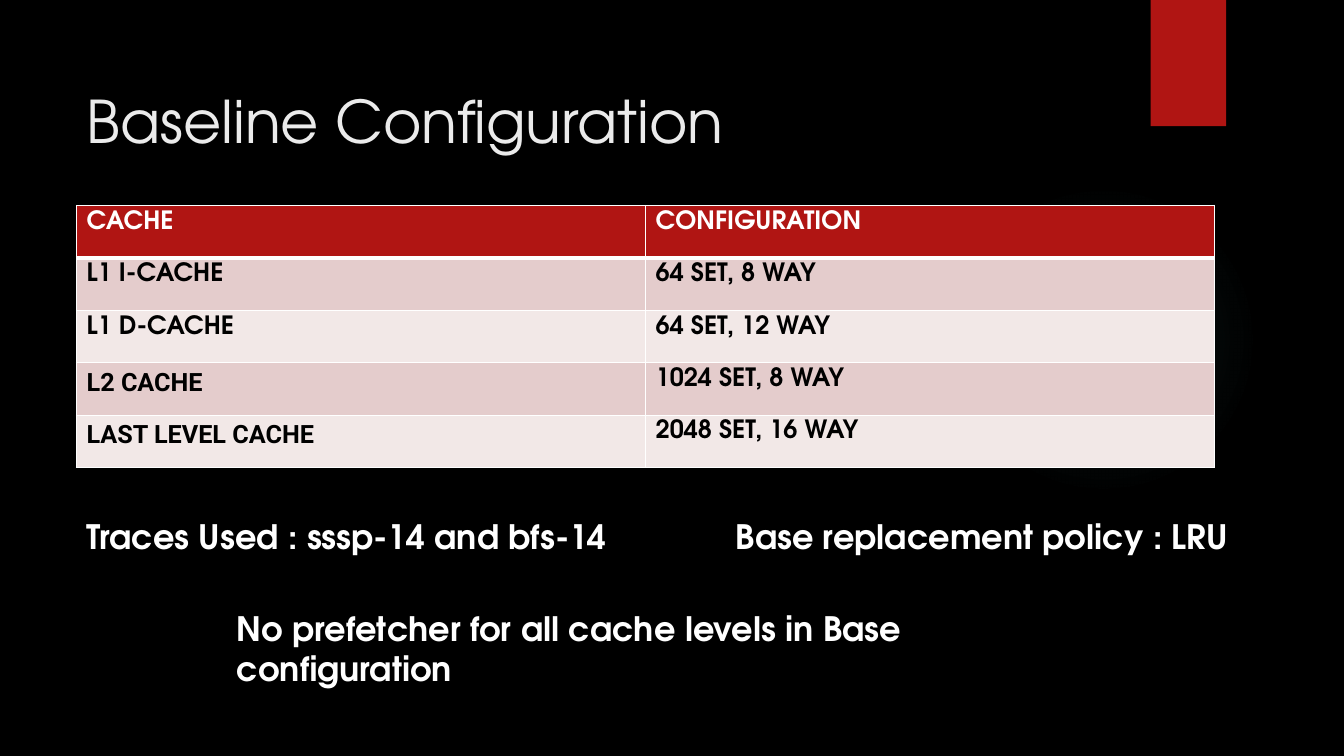
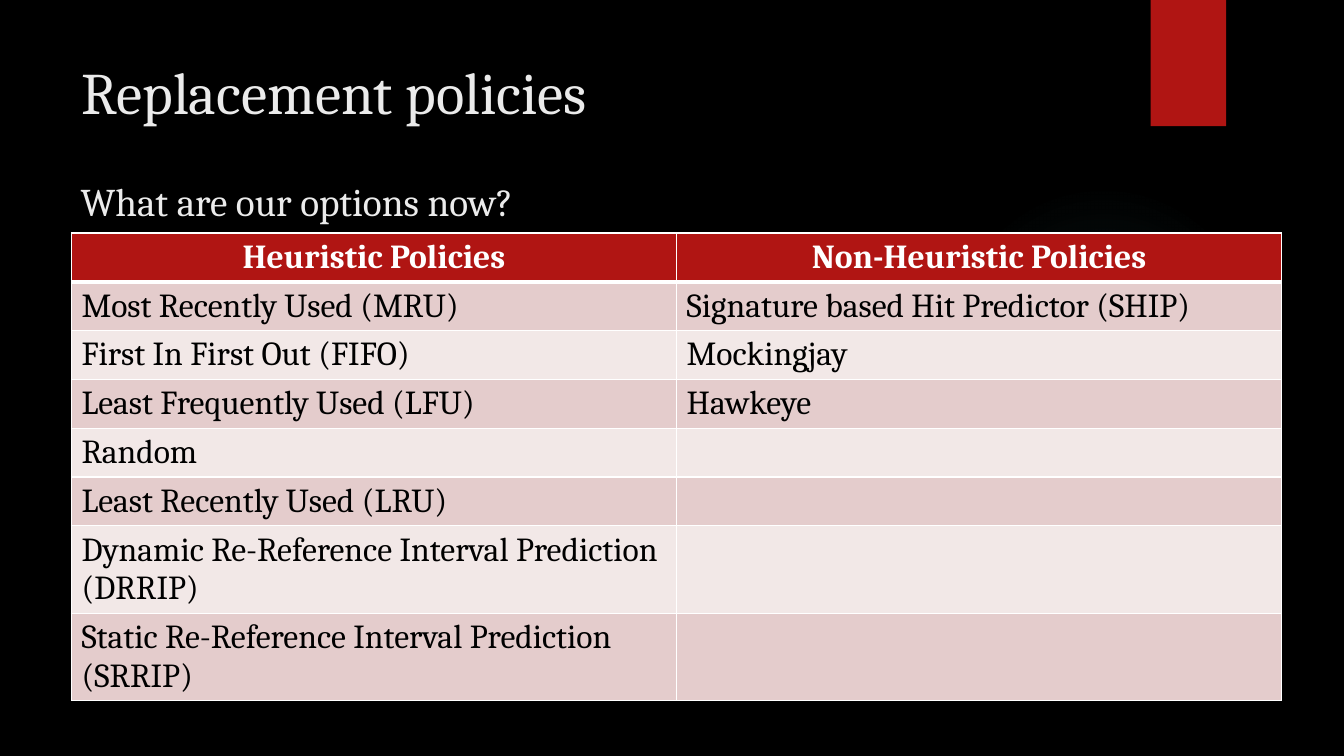
from dataclasses import dataclass

from pptx import Presentation
from pptx.dml.color import RGBColor
from pptx.enum.shapes import MSO_SHAPE
from pptx.enum.text import MSO_ANCHOR, MSO_AUTO_SIZE, PP_ALIGN
from pptx.oxml import parse_xml
from pptx.oxml.ns import nsdecls, qn
from pptx.util import Cm, Pt


@dataclass(frozen=True)
class Theme:
    background: str = "000000"
    accent: str = "B01513"
    glow: str = "50B9C1"
    heading: str = "EBEBEB"
    light: str = "FFFFFF"
    dark: str = "000000"
    bands: tuple = ("E4CCCC", "F2E8E7")
    geometric: str = "TeX Gyre Adventor"
    serif: str = "Cambria"
    plain: str = "Roboto"
    title_size: int = 42
    subtitle_size: int = 28
    body_size: int = 24
    small_size: int = 18
    border: int = 1
    header_border: int = 3
    cell_top: float = 0.13
    cell_bottom: float = 0.03


THEME = Theme()
BORDER_TAGS = ("lnL", "lnR", "lnT", "lnB")


def set_values(target, values):
    for name, value in values.items():
        setattr(target, name, value)


def place(item, left, top, width, height):
    lengths = dict(left=left, top=top, width=width, height=height)
    set_values(item, {name: Cm(length) for name, length in lengths.items()})


def write(frame, text, font, size, color, bold=False, align=PP_ALIGN.LEFT):
    para = frame.paragraphs[0]
    para.alignment = align
    span = para.add_run()
    span.text = text
    set_values(span.font, {"name": font, "size": Pt(size), "bold": bold})
    span.font.color.rgb = RGBColor.from_string(color)


def add_title(page, text, area, font):
    title = page.shapes.title
    place(title, *area)
    set_values(title.text_frame, {
        "vertical_anchor": MSO_ANCHOR.TOP,
        "auto_size": MSO_AUTO_SIZE.NONE,
        "word_wrap": True,
    })
    write(title.text_frame, text, font, THEME.title_size, THEME.heading)


def add_text(page, text, area, font, size, color, bold=False):
    box = page.shapes.add_textbox(*map(Cm, area))
    box.text_frame.word_wrap = True
    write(box.text_frame, text, font, size, color, bold)


def set_borders(cell, widths):
    properties = cell._tc.get_or_add_tcPr()
    for tag, width in zip(BORDER_TAGS, widths):
        properties.append(parse_xml(
            f'<a:{tag} {nsdecls("a")} w="{Pt(width)}"><a:solidFill>'
            f'<a:srgbClr val="{THEME.light}"/></a:solidFill></a:{tag}>'))


def add_grid(page, left, top, width, heights, rows, font, size,
             bold=False, header_align=PP_ALIGN.LEFT, cell_fonts=None):
    cell_fonts = cell_fonts or {}
    columns = len(rows[0])
    area = map(Cm, (left, top, width, sum(heights)))
    table = page.shapes.add_table(len(rows), columns, *area).table
    table.horz_banding = False
    for column in table.columns:
        column.width = Cm(width / columns)
    for row, (texts, height) in enumerate(zip(rows, heights)):
        table.rows[row].height = Cm(height)
        header = row == 0
        fill = THEME.accent if header else THEME.bands[(row - 1) % 2]
        above = THEME.header_border if row == 1 else THEME.border
        below = THEME.header_border if header else THEME.border
        for column, text in enumerate(texts):
            cell = table.cell(row, column)
            set_values(cell, {"margin_top": Cm(THEME.cell_top),
                              "margin_bottom": Cm(THEME.cell_bottom)})
            set_borders(cell, (THEME.border, THEME.border, above, below))
            cell.fill.solid()
            cell.fill.fore_color.rgb = RGBColor.from_string(fill)
            if text:
                write(cell.text_frame, text, cell_fonts.get(text, font), size,
                      THEME.light if header else THEME.dark,
                      bold or header,
                      header_align if header else PP_ALIGN.LEFT)


def add_plain_shape(page, kind, area):
    shape = page.shapes.add_shape(kind, *map(Cm, area))
    shape.shadow.inherit = False
    shape.line.fill.background()
    return shape


def fill_with_glow(shape):
    stops = "".join(
        f'<a:gs pos="{position}000"><a:srgbClr val="{THEME.glow}">'
        f'<a:alpha val="{alpha}000"/></a:srgbClr></a:gs>'
        for position, alpha in ((0, 7), (36, 6), (69, 0)))
    gradient = parse_xml(
        f'<a:gradFill {nsdecls("a")}><a:gsLst>{stops}</a:gsLst>'
        '<a:path path="circle"><a:fillToRect l="50000" t="50000" '
        'r="50000" b="50000"/></a:path></a:gradFill>')
    shape.fill.background()
    properties = shape.element.spPr
    properties.replace(properties.find(qn("a:noFill")), gradient)


def decorate_layout(deck, layout, page):
    background = deck.slide_master.background.fill
    background.solid()
    background.fore_color.rgb = RGBColor.from_string(THEME.background)
    glow = add_plain_shape(page, MSO_SHAPE.OVAL, (23.9, 4.65, 7.82, 7.82))
    fill_with_glow(glow)
    ribbon = add_plain_shape(page, MSO_SHAPE.RECTANGLE,
                             (29, 0, 1.9, 3.18))
    ribbon.fill.solid()
    ribbon.fill.fore_color.rgb = RGBColor.from_string(THEME.accent)
    for index, shape in enumerate((glow, ribbon), start=2):
        layout.shapes.element.insert(index, shape.element)


def build_configuration(page):
    add_title(page, "Baseline Configuration", (1.93, 2.01, 28.68, 2.97),
              THEME.geometric)
    rows = (
        ("CACHE", "CONFIGURATION"),
        ("L1 I-CACHE", "64 SET, 8 WAY"),
        ("L1 D-CACHE", "64 SET, 12 WAY"),
        ("L2 CACHE", "1024 SET, 8 WAY"),
        ("LAST LEVEL CACHE", "2048 SET, 16 WAY"),
    )
    add_grid(page, 1.93, 5.18, 28.68, [1.32] * len(rows), rows,
             THEME.geometric, THEME.small_size, bold=True,
             cell_fonts=dict.fromkeys(("L2 CACHE", "LAST LEVEL CACHE"),
                                      THEME.plain))
    notes = (
        ("Traces Used : sssp-14 and bfs-14", (1.92, 12.88, 13.77, 2.31)),
        ("Base replacement policy : LRU", (18.29, 12.88, 13.79, 1.27)),
        ("No prefetcher for all cache levels in Base configuration",
         (5.72, 15.19, 22.45, 1.27)),
    )
    for text, area in notes:
        add_text(page, text, area, THEME.geometric, THEME.body_size,
                 THEME.light, bold=True)


def build_policies(page):
    add_title(page, "Replacement policies", (1.8, 1.27, 26.14, 2.21),
              THEME.serif)
    add_text(page, "What are our options now?", (1.78, 4.34, 24.84, 1.96),
             THEME.serif, THEME.subtitle_size, THEME.heading)
    rows = (
        ("Heuristic Policies", "Non-Heuristic Policies"),
        ("Most Recently Used (MRU)", "Signature based Hit Predictor (SHIP)"),
        ("First In First Out (FIFO)", "Mockingjay"),
        ("Least Frequently Used (LFU)", "Hawkeye"),
        ("Random", ""),
        ("Least Recently Used (LRU)", ""),
        ("Dynamic Re-Reference Interval Prediction (DRRIP)", ""),
        ("Static Re-Reference Interval Prediction (SRRIP)", ""),
    )
    add_grid(page, 1.8, 5.87, 30.5, [1.23] * 6 + [2.2] * 2, rows,
             THEME.serif, THEME.body_size, header_align=PP_ALIGN.CENTER)


def main():
    deck = Presentation()
    set_values(deck, {"slide_width": Cm(33.87), "slide_height": Cm(19.05)})
    layout = deck.slide_layouts[5]
    pages = [deck.slides.add_slide(layout) for _ in range(2)]
    decorate_layout(deck, layout, pages[0])
    for build, page in zip((build_configuration, build_policies), pages):
        build(page)
    deck.save("out.pptx")


if __name__ == "__main__":
    main()
